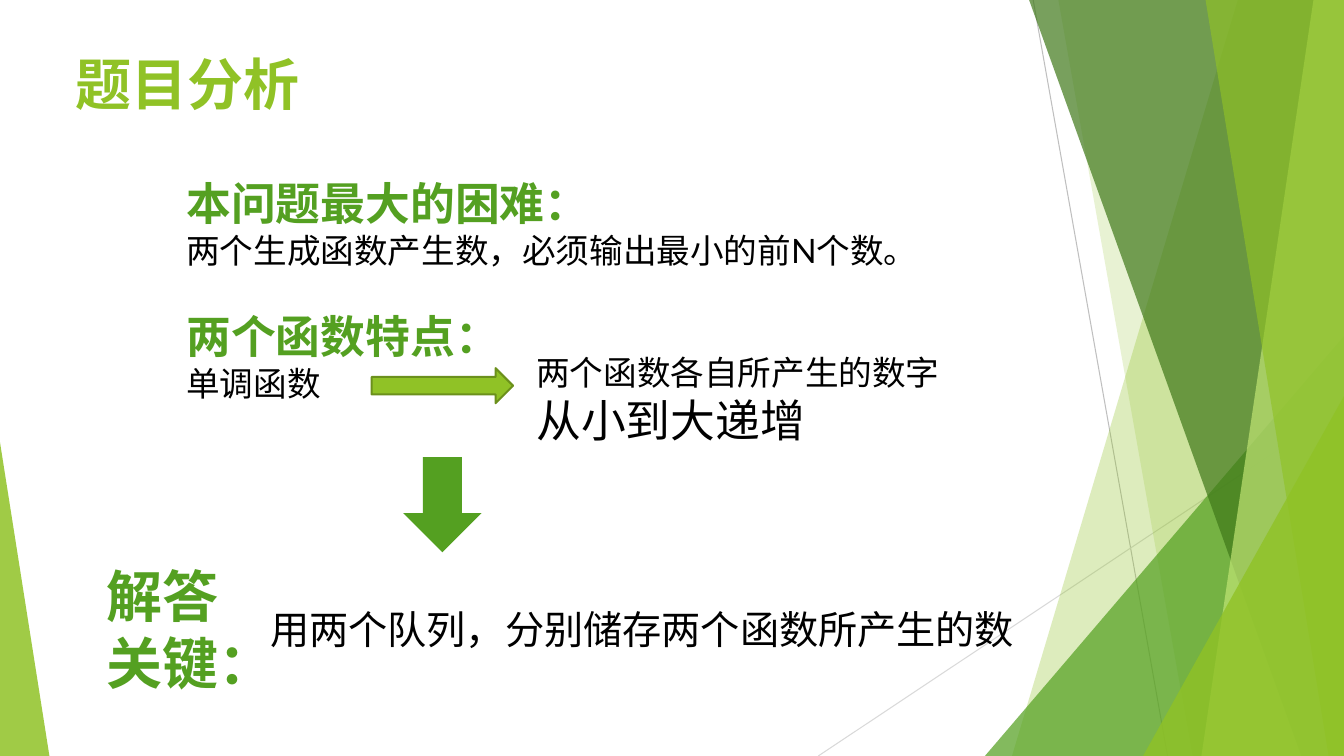
from lxml import etree
from pptx import Presentation
from pptx import util as u
from pptx.dml.color import RGBColor
from pptx.enum import shapes, text
from pptx.oxml import ns

# Content: (wording, style) for each line of a text box
TEXTS = [
    ((47, 32, 677, 104), [("题目分析", "title")]),
    ((126, 122, 612, 97), [("本问题最大的困难：", "heading"),
                           ("两个生成函数产生数，必须输出最小的前N个数。", "body")]),
    ((126, 217, 612, 75), [("两个函数特点：", "heading"), ("单调函数", "body")]),
    ((69, 397.5, 117, 104), [("解答关键：", "key")]),
    ((376, 248, 317.5, 75), [("两个函数各自所产生的数字", "body"),
                             ("从小到大递增", "large")]),
    ((186, 429, 590, 41), [("用两个队列，分别储存两个函数所产生的数", "answer")]),
]

# Arrows: preset, bounds, fill, outline
ARROWS = [
    ("RIGHT_ARROW", (265.5, 263, 101, 25), "lime", "olive"),
    ("DOWN_ARROW", (288, 326.5, 56, 68), "green", None),
]

# Backdrop, back to front
RAYS = [
    ((738, 0), (834, 540), "grey"),
    ((960, 290), (584.5, 540), "pale_grey"),
]
# A band runs from its slanted left edge (top x, bottom x) to the right margin.
# A wedge has its apex at the right (1) or left (0) end of its bounds.
FACETS = [
    ("band", (884.2, 722.9), "lime", 30),
    ("band", (756, 851.8), "lime", 20),
    ("wedge", (703.5, 240, 256.5, 300, 1), "green", 72),
    ("band", (735.1, 929.5), "dark_green", 70),
    ("band", (938.2, 858.2), "light_lime", 70),
    ("band", (861.1, 949), "lime", 65),
    ("wedge", (816.5, 283, 143.5, 257, 1), "lime", 80),
    ("wedge", (0, 316, 35.3, 224, 0), "lime", 85),
]

THEME = {
    "colors": {
        "lime": "90C226", "green": "54A021", "dark_green": "3F7819",
        "light_lime": "C0E474", "olive": "6B901C", "black": "000000",
        "grey": "BFBFBF", "pale_grey": "D9D9D9",
    },
    "han_font": "Noto Sans CJK SC",
    "styles": {  # font, size, bold, colour
        "title": ("Lato", 40, True, "lime"),
        "heading": ("Noto Sans CJK SC", 32, True, "green"),
        "key": ("Arial", 40, True, "green"),
        "body": ("Lato", 24, False, "black"),
        "large": ("Lato", 32, False, "black"),
        "answer": ("Lato", 28, False, "black"),
    },
}
WIDTH, HEIGHT = 960, 540


def color(name):
    return RGBColor.from_string(THEME["colors"][name])


def points(values):
    return [u.Pt(value) for value in values]


def paint(shape, fill, alpha=100, outline=None):
    shape.shadow.inherit = False
    shape.fill.solid()
    shape.fill.fore_color.rgb = color(fill)
    if alpha < 100:
        tint = shape.fill._xPr.find(".//" + ns.qn("a:srgbClr"))
        etree.SubElement(tint, ns.qn("a:alpha"), val=str(alpha * 1000))
    if outline:
        shape.line.color.rgb = color(outline)
        shape.line.width = u.Pt(1.5)
    else:
        shape.line.fill.background()


def add_ray(page, start, end, tone):
    ray = page.shapes.add_connector(
        shapes.MSO_CONNECTOR.STRAIGHT, *points(start + end))
    ray.line.color.rgb = color(tone)
    ray.line.width = u.Pt(0.75)
    etree.SubElement(ray._element.spPr, ns.qn("a:effectLst"))


def add_band(page, top_x, bottom_x):
    corners = [(top_x, 0), (WIDTH, 0), (WIDTH, HEIGHT), (bottom_x, HEIGHT)]
    first, *others = [points(corner) for corner in corners]
    outline = page.shapes.build_freeform(*first)
    outline.add_line_segments(others, close=True)
    return outline.convert_to_shape()


def add_wedge(page, left, top, width, height, apex):
    wedge = page.shapes.add_shape(
        shapes.MSO_SHAPE.ISOSCELES_TRIANGLE, *points((left, top, width, height)))
    wedge.adjustments[0] = apex
    return wedge


def add_text(page, bounds, lines):
    frame = page.shapes.add_textbox(*points(bounds)).text_frame
    frame.word_wrap = True
    frame.vertical_anchor = text.MSO_ANCHOR.TOP
    for index, (wording, style) in enumerate(lines):
        para = frame.add_paragraph() if index else frame.paragraphs[0]
        span = para.add_run()
        span.text = wording
        name, size, bold, tone = THEME["styles"][style]
        formats = {"name": name, "size": u.Pt(size), "bold": bold}
        for key, value in formats.items():
            setattr(span.font, key, value)
        span.font.color.rgb = color(tone)
        etree.SubElement(span.font._element, ns.qn("a:ea"),
                         typeface=THEME["han_font"])


def main():
    deck = Presentation()
    deck.slide_width, deck.slide_height = points((WIDTH, HEIGHT))
    page = deck.slides.add_slide(deck.slide_layouts[6])

    # Backdrop
    for ray in RAYS:
        add_ray(page, *ray)
    makers = {"band": add_band, "wedge": add_wedge}
    for kind, geometry, fill, alpha in FACETS:
        paint(makers[kind](page, *geometry), fill, alpha)

    # Arrows
    for preset, bounds, fill, outline in ARROWS:
        arrow = page.shapes.add_shape(
            getattr(shapes.MSO_SHAPE, preset), *points(bounds))
        paint(arrow, fill, outline=outline)

    # Text
    for bounds, lines in TEXTS:
        add_text(page, bounds, lines)

    deck.save("out.pptx")


if __name__ == "__main__":
    main()
